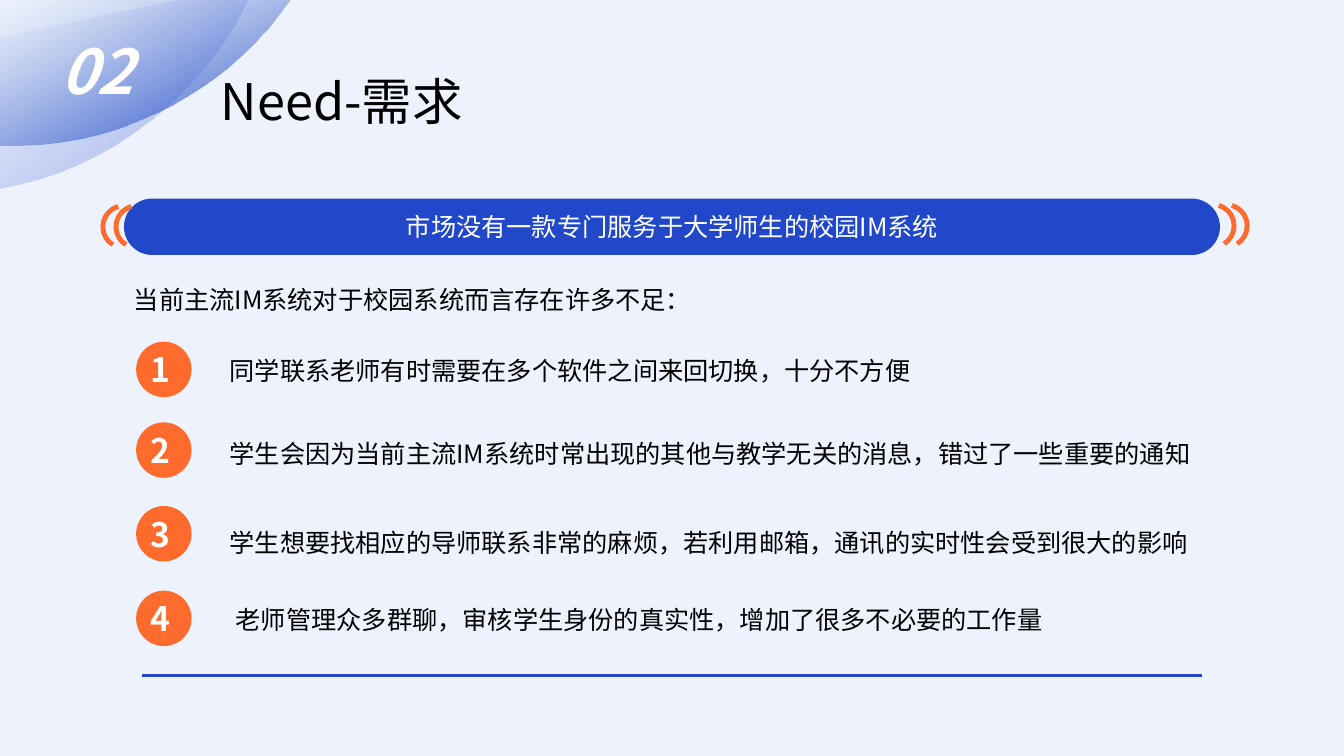
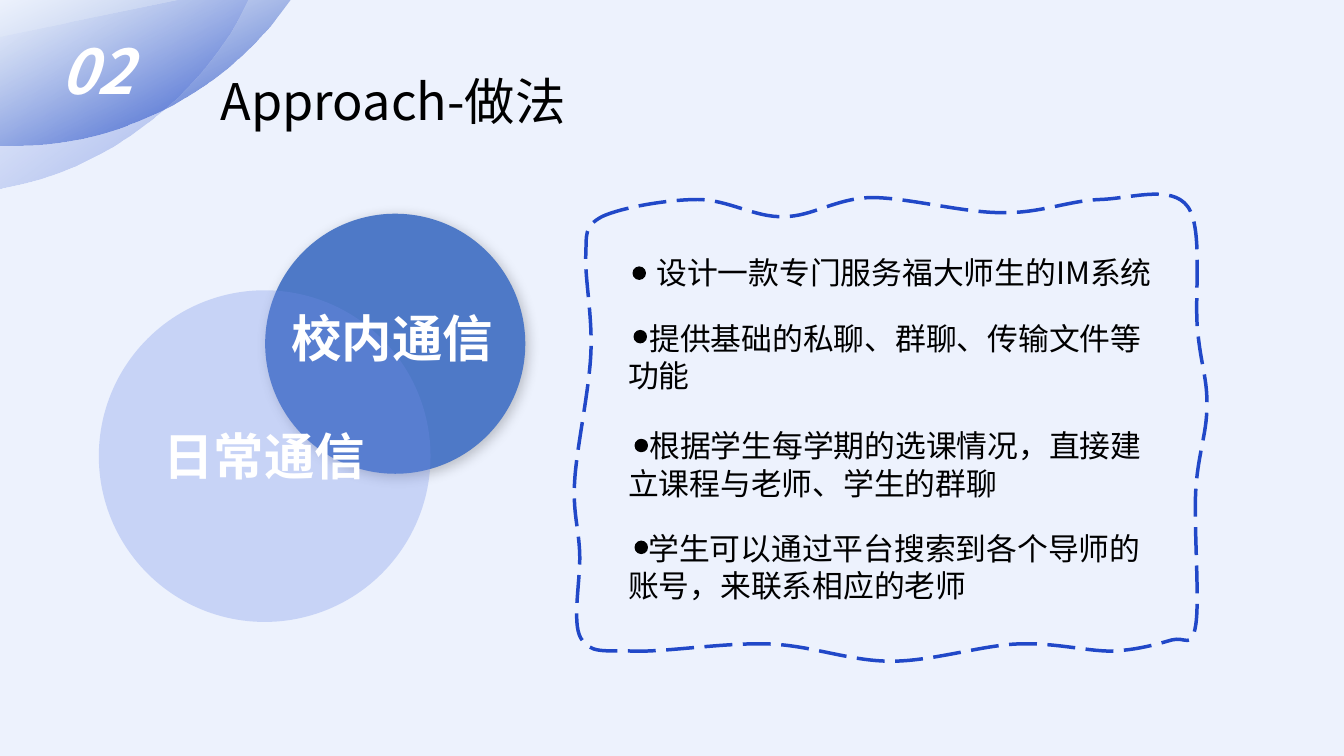
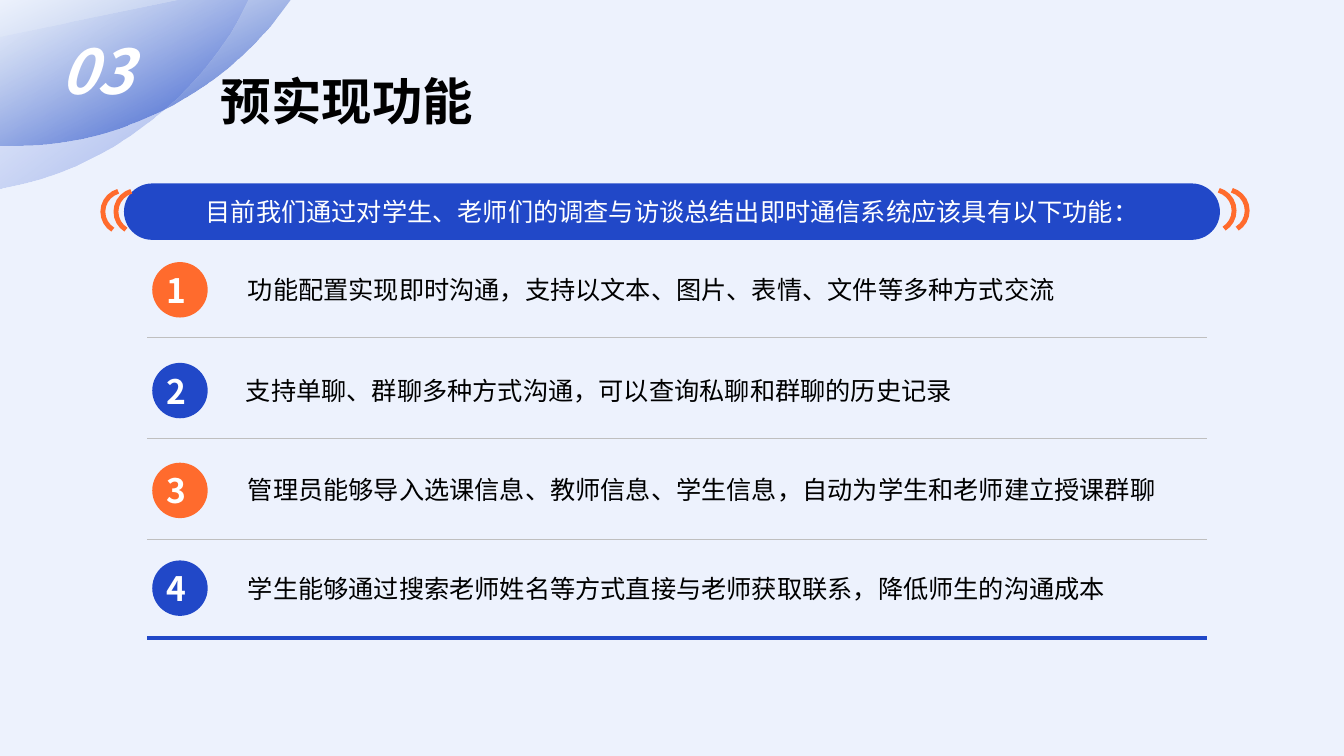
from lxml.etree import SubElement
from pptx import Presentation
from pptx.dml.color import RGBColor
from pptx.enum.dml import MSO_LINE
from pptx.enum.shapes import MSO_CONNECTOR, MSO_SHAPE
from pptx.enum.text import MSO_ANCHOR, MSO_AUTO_SIZE, PP_ALIGN
from pptx.oxml import parse_xml
from pptx.oxml.ns import nsdecls, qn
from pptx.util import Inches, Pt

FONT = "Noto Sans CJK SC"
COLORS = {
    "background": "EDF2FD",
    "blue": "2148C8",
    "orange": "FF6B2D",
    "steel": "4E79C7",
    "periwinkle": "708CE7",
    "pale_steel": "88A5D9",
    "pale_blue": "849DEB",
    "grey": "BFBFBF",
    "black": "000000",
    "white": "FFFFFF",
}
TITLE_ONLY, TITLE_AND_CONTENT = 5, 1
UNITS = 1000
BADGE_SIZE = 0.55
DOT_SIZE = 0.12
ARC_START, ARC_END = 171.62, 34.84
HALF_TURN, FULL_TURN = 108, 216

CORNER_FRONT = [
    (0, 0), (2.88, 0), (2.79, 0.12),
    (2.49, 0.53, 2.07, 0.87, 1.57, 1.11),
    (1.07, 1.35, 0.54, 1.46, 0.04, 1.44),
    (0, 1.44),
]
CORNER_BACK = [
    (1.78, 0), (2.45, 0), (2.45, 0.01),
    (2.24, 0.46, 1.9, 0.89, 1.46, 1.22),
    (1.02, 1.56, 0.53, 1.77, 0.03, 1.86),
    (0, 1.87), (0, 0.37),
]
WAVY_FRAME = [
    (5.97, 2.15),
    (6.16, 2.06, 6.62, 1.98, 6.92, 1.98),
    (7.22, 1.98, 7.49, 2.16, 7.77, 2.15),
    (8.06, 2.15, 8.28, 1.97, 8.64, 1.96),
    (9, 1.96, 9.55, 2.11, 9.93, 2.11),
    (10.31, 2.12, 10.6, 1.99, 10.91, 1.98),
    (11.22, 1.97, 11.62, 1.83, 11.78, 2.05),
    (11.94, 2.27, 11.84, 2.96, 11.88, 3.29),
    (11.91, 3.62, 11.98, 3.77, 11.97, 4.04),
    (11.97, 4.3, 11.88, 4.51, 11.86, 4.87),
    (11.84, 5.23, 11.9, 5.95, 11.86, 6.2),
    (11.82, 6.45, 11.76, 6.31, 11.62, 6.35),
    (11.48, 6.39, 11.28, 6.45, 11.02, 6.46),
    (10.77, 6.46, 10.44, 6.37, 10.07, 6.39),
    (9.71, 6.41, 9.24, 6.56, 8.84, 6.56),
    (8.43, 6.56, 8.07, 6.41, 7.65, 6.39),
    (7.22, 6.37, 6.61, 6.47, 6.29, 6.46),
    (5.98, 6.45, 5.86, 6.49, 5.76, 6.33),
    (5.67, 6.17, 5.76, 5.75, 5.75, 5.49),
    (5.74, 5.23, 5.68, 5.09, 5.7, 4.77),
    (5.72, 4.44, 5.84, 3.9, 5.86, 3.52),
    (5.88, 3.15, 5.8, 2.76, 5.81, 2.54),
    (5.82, 2.32, 5.79, 2.25, 5.97, 2.15),
]


def color(name):
    return RGBColor.from_string(COLORS[name])


def box(left, top, width, height):
    return Inches(left), Inches(top), Inches(width), Inches(height)


def add_run(paragraph, text, size, ink="black", bold=False, italic=False):
    run = paragraph.add_run()
    run.text = text
    font = run.font
    font.name, font.size, font.bold, font.italic = FONT, Pt(size), bold, italic
    font.color.rgb = color(ink)
    east_asian = SubElement(font._element, qn("a:ea"))
    east_asian.set("typeface", FONT)


def add_text(slide, place, text, size, **style):
    shape = slide.shapes.add_textbox(*box(*place))
    shape.text_frame.word_wrap = True
    add_run(shape.text_frame.paragraphs[0], text, size, **style)


def add_filled(slide, kind, place, fill, alpha=None):
    shape = slide.shapes.add_shape(kind, *box(*place))
    shape.shadow.inherit = False
    shape.fill.solid()
    shape.fill.fore_color.rgb = color(fill)
    shape.line.fill.background()
    if alpha is not None:
        tint = shape.element.spPr.find(qn("a:solidFill"))[0]
        SubElement(tint, qn("a:alpha")).set("val", str(alpha * 1000))
    return shape


def add_centred(shape, text, size, nudge=0, **style):
    frame = shape.text_frame
    frame.margin_left = frame.margin_top = frame.margin_bottom = 0
    frame.margin_right = Inches(nudge)
    frame.vertical_anchor = MSO_ANCHOR.MIDDLE
    paragraph = frame.paragraphs[0]
    paragraph.alignment = PP_ALIGN.CENTER
    add_run(paragraph, text, size, ink="white", **style)


def add_rule(slide, left, top, width, ink, weight):
    line = slide.shapes.add_connector(
        MSO_CONNECTOR.STRAIGHT, Inches(left), Inches(top), Inches(left + width), Inches(top))
    line.line.color.rgb = color(ink)
    line.line.width = Pt(weight)
    SubElement(line.element.spPr, qn("a:effectLst"))


def add_outline(slide, segments):
    anchors = [(x * UNITS, y * UNITS) for *_, x, y in segments]
    left, top = (round(min(values)) for values in zip(*anchors))
    builder = slide.shapes.build_freeform(*anchors[0], scale=Inches(1) / UNITS)
    builder.add_line_segments(anchors[1:], close=False)
    shape = builder.convert_to_shape()
    shape.shadow.inherit = False
    steps = list(shape.element.spPr.iter(qn("a:lnTo")))
    for step, segment in zip(steps, segments[1:]):
        if len(segment) == 6:
            step.tag = qn("a:cubicBezTo")
            for point in list(step):
                step.remove(point)
            for x, y in zip(segment[::2], segment[1::2]):
                point = SubElement(step, qn("a:pt"))
                point.set("x", str(round(x * UNITS) - left))
                point.set("y", str(round(y * UNITS) - top))
    SubElement(steps[-1].getparent(), qn("a:close"))
    return shape


def fade_in(shape, start, end, end_alpha, angle):
    shape.line.fill.background()
    gradient = parse_xml(
        f'<a:gradFill {nsdecls("a")} rotWithShape="1"><a:gsLst>'
        f'<a:gs pos="0"><a:srgbClr val="{COLORS[start]}"><a:alpha val="0"/></a:srgbClr></a:gs>'
        f'<a:gs pos="100000"><a:srgbClr val="{COLORS[end]}">'
        f'<a:alpha val="{end_alpha * 1000}"/></a:srgbClr></a:gs>'
        f'</a:gsLst><a:lin ang="{angle * 60000}" scaled="0"/></a:gradFill>')
    shape.element.spPr.find(qn("a:custGeom")).addnext(gradient)


def decorate_master(master, slide):
    master.background.fill.solid()
    master.background.fill.fore_color.rgb = color("background")
    for segments, start, alpha, angle in (
            (CORNER_FRONT, "pale_steel", 100, 65), (CORNER_BACK, "pale_blue", 46, 54)):
        corner = add_outline(slide, segments)
        fade_in(corner, start, "blue", alpha, angle)
        master.element.cSld.spTree.append(corner.element)


def add_heading(slide, number, text, bold=False):
    add_text(slide, (0.5, 0.28, 1.2, 0.84), number, 44, ink="white", bold=True, italic=True)
    title = slide.shapes.title
    title.left, title.top, title.width, title.height = box(2.09, 0.64, 9, 0.71)
    frame = title.text_frame
    frame.auto_size = MSO_AUTO_SIZE.NONE
    frame.vertical_anchor = MSO_ANCHOR.MIDDLE
    frame.paragraphs[0].alignment = PP_ALIGN.LEFT
    add_run(frame.paragraphs[0], text, 36, bold=bold)


def add_arc(slide, left, top, start, end):
    arc = slide.shapes.add_shape(MSO_SHAPE.ARC, *box(left, top, 0.42, 0.42))
    arc.shadow.inherit = False
    arc.adjustments[0], arc.adjustments[1] = start, end
    arc.fill.background()
    arc.line.color.rgb = color("orange")
    arc.line.width = Pt(3.5)


def add_banner(slide, left, top, width, text):
    banner = add_filled(slide, MSO_SHAPE.ROUNDED_RECTANGLE, (left, top, width, 0.56), "blue")
    banner.adjustments[0] = 0.5
    add_centred(banner, text, 18)
    for shift in (0, 0.13):
        add_arc(slide, left - 0.21 + shift, top + 0.07,
                HALF_TURN - ARC_END, HALF_TURN - ARC_START + FULL_TURN)
        add_arc(slide, left + width - 0.28 + shift, top + 0.06, ARC_START, ARC_END)


def add_numbered_rows(slide, left, rows, fills):
    for index, (top, text_left, text_top, text) in enumerate(rows):
        place = (left, top, BADGE_SIZE, BADGE_SIZE)
        badge = add_filled(slide, MSO_SHAPE.OVAL, place, fills[index % len(fills)])
        add_centred(badge, str(index + 1), 24, nudge=0.06, bold=True)
        add_text(slide, (text_left, text_top, 9.78, 0.4), text, 18)


def add_overlap(slide, left, top):
    inner = add_filled(slide, MSO_SHAPE.OVAL, (left + 1.65, top, 2.58, 2.58), "steel")
    effects = inner.element.spPr.find(qn("a:effectLst"))
    effects.append(parse_xml(
        f'<a:outerShdw {nsdecls("a")} blurRad="{Pt(9.1)}" dist="{Pt(3)}" dir="2700000">'
        f'<a:srgbClr val="{COLORS["black"]}"><a:alpha val="21000"/></a:srgbClr></a:outerShdw>'))
    add_filled(slide, MSO_SHAPE.OVAL, (left, top + 0.76, 3.29, 3.29), "periwinkle", 30)
    for shift, drop, text in ((1.81, 0.88, "校内通信"), (0.54, 2.05, "日常通信")):
        add_text(slide, (left + shift, top + drop, 2.41, 0.71), text, 36, ink="white", bold=True)


def add_dotted_list(slide, place, items):
    left, top = place[:2]
    body = slide.placeholders[1]
    body.left, body.top, body.width, body.height = box(*place)
    frame = body.text_frame
    frame.auto_size = MSO_AUTO_SIZE.NONE
    for index, (dot_left, dot_top, indent, gap, text) in enumerate(items):
        paragraph = frame.add_paragraph() if index else frame.paragraphs[0]
        paragraph.space_before = Pt(gap)
        paragraph.line_spacing = Pt(26.5)
        properties = paragraph._p.get_or_add_pPr()
        properties.set("marL", "0")
        properties.set("indent", str(Inches(indent)))
        SubElement(properties, qn("a:buNone"))
        add_run(paragraph, text, 22)
        dot = add_filled(slide, MSO_SHAPE.FLOWCHART_CONNECTOR,
                         (left + dot_left, top + dot_top, DOT_SIZE, DOT_SIZE), "black")
        dot.line.color.rgb = color("black")
        dot.line.width = Pt(1)


def build_need(slide):
    add_heading(slide, "02", "Need-需求")
    add_banner(slide, 1.23, 1.97, 10.87, "市场没有一款专门服务于大学师生的校园IM系统")
    add_rule(slide, 1.41, 6.7, 10.51, "blue", 2.5)
    add_text(slide, (1.23, 2.77, 6.37, 0.4), "当前主流IM系统对于校园系统而言存在许多不足：", 18)
    add_numbered_rows(slide, 1.35, [
        (3.39, 2.18, 3.48, "同学联系老师有时需要在多个软件之间来回切换，十分不方便"),
        (4.19, 2.18, 4.3, "学生会因为当前主流IM系统时常出现的其他与教学无关的消息，错过了一些重要的通知"),
        (5.02, 2.18, 5.18, "学生想要找相应的导师联系非常的麻烦，若利用邮箱，通讯的实时性会受到很大的影响"),
        (5.86, 2.24, 5.95, "老师管理众多群聊，审核学生身份的真实性，增加了很多不必要的工作量"),
    ], ["orange"])


def build_approach(slide):
    add_heading(slide, "02", "Approach-做法")
    add_overlap(slide, 0.98, 2.12)
    add_dotted_list(slide, (6.13, 2.47, 5.56, 3.6), [
        (0.15, 0.18, 0.28, 0, "设计一款专门服务福大师生的IM系统"),
        (0.16, 0.81, 0.21, 20, "提供基础的私聊、群聊、传输文件等功能"),
        (0.17, 1.89, 0.21, 24, "根据学生每学期的选课情况，直接建立课程与老师、学生的群聊"),
        (0.17, 2.9, 0.2, 20, "学生可以通过平台搜索到各个导师的账号，来联系相应的老师"),
    ])
    frame = add_outline(slide, WAVY_FRAME)
    frame.fill.background()
    frame.line.color.rgb = color("blue")
    frame.line.width = Pt(2.5)
    frame.line.dash_style = MSO_LINE.LONG_DASH


def build_functions(slide):
    add_heading(slide, "03", "预实现功能", bold=True)
    add_banner(slide, 1.23, 1.82, 10.87, "目前我们通过对学生、老师们的调查与访谈总结出即时通信系统应该具有以下功能：")
    for index in range(3):
        add_rule(slide, 1.46, 3.35 + index, 10.51, "grey", 0.5)
    add_rule(slide, 1.46, 6.33, 10.51, "blue", 2.5)
    add_numbered_rows(slide, 1.51, [
        (2.6, 2.36, 2.67, "功能配置实现即时沟通，支持以文本、图片、表情、文件等多种方式交流"),
        (3.6, 2.34, 3.67, "支持单聊、群聊多种方式沟通，可以查询私聊和群聊的历史记录"),
        (4.59, 2.36, 4.66, "管理员能够导入选课信息、教师信息、学生信息，自动为学生和老师建立授课群聊"),
        (5.56, 2.36, 5.64, "学生能够通过搜索老师姓名等方式直接与老师获取联系，降低师生的沟通成本"),
    ], ["orange", "blue"])


def main():
    presentation = Presentation()
    presentation.slide_width, presentation.slide_height = Inches(13.33), Inches(7.5)
    pages = [(TITLE_ONLY, build_need), (TITLE_AND_CONTENT, build_approach),
             (TITLE_ONLY, build_functions)]
    for index, (layout, build) in enumerate(pages):
        slide = presentation.slides.add_slide(presentation.slide_layouts[layout])
        if index == 0:
            decorate_master(presentation.slide_master, slide)
        build(slide)
    presentation.save("out.pptx")


if __name__ == "__main__":
    main()
